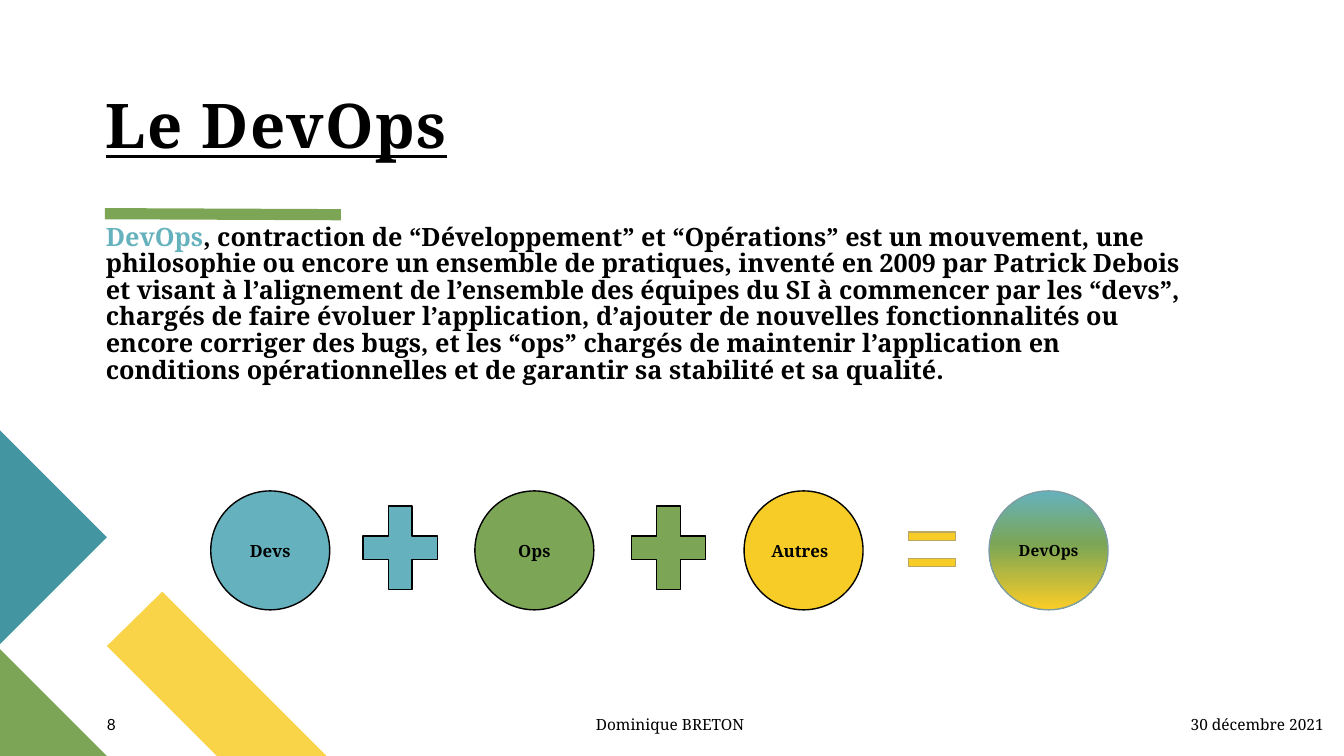
"""Build the slide that defines DevOps as a sum of teams."""
import lxml.etree
import pptx
import pptx.dml.color
import pptx.enum.shapes
import pptx.enum.text
import pptx.oxml
import pptx.oxml.ns
import pptx.util

Inches, Pt = pptx.util.Inches, pptx.util.Pt
RGBColor = pptx.dml.color.RGBColor
SHAPE = pptx.enum.shapes.MSO_SHAPE
ALIGN = pptx.enum.text.PP_ALIGN
ANCHOR = pptx.enum.text.MSO_ANCHOR
qn = pptx.oxml.ns.qn

BLACK = RGBColor(0x00, 0x00, 0x00)
BLUE = RGBColor(0x65, 0xB2, 0xBE)
GREEN = RGBColor(0x7C, 0xA6, 0x55)
YELLOW = RGBColor(0xF8, 0xCC, 0x27)
TEAL = RGBColor(0x44, 0x95, 0xA2)
PALE_YELLOW = RGBColor(0xF9, 0xD4, 0x48)
SAND = RGBColor(0xBA, 0xA7, 0x62)
GREY_BLUE = RGBColor(0x7D, 0x9D, 0xA2)
SERIF, SANS = "Noto Serif", "Lato"

TITLE = "Le DevOps"
DEFINITION = [
    ("DevOps", BLUE),
    (", contraction de “Développement” et “Opérations” est un mouvement, une "
     "philosophie ou encore un ensemble de pratiques, inventé en 2009 par Patrick "
     "Debois et visant à l’alignement de l’ensemble des équipes du SI à commencer "
     "par les “devs”, chargés de faire évoluer l’application, d’ajouter de nouvelles "
     "fonctionnalités ou encore corriger des bugs, et les “ops” chargés de maintenir "
     "l’application en conditions opérationnelles et de garantir sa stabilité et sa "
     "qualité.", BLACK),
]
CORNER_SHAPES = [
    (PALE_YELLOW, [(3.24, 7.5), (2.15, 7.5), (1.06, 6.41), (1.61, 5.87)]),
    (GREEN, [(1.06, 7.5), (0, 7.5), (0, 6.44)]),
    (TEAL, [(0, 4.27), (1.06, 5.33), (0, 6.39)]),
]
TEAMS = [
    ("Devs", 2.09, BLUE, BLACK, 12, ALIGN.CENTER),
    ("Ops", 4.71, GREEN, BLACK, 12, ALIGN.CENTER),
    ("Autres", 7.38, YELLOW, BLACK, 12, ALIGN.LEFT),
    ("DevOps", 9.81, None, GREY_BLUE, 11, ALIGN.CENTER),
]
BLEND = [(0, BLUE), (45, GREEN), (99, YELLOW)]
OPERATORS = [
    (SHAPE.MATH_PLUS, (3.47, 4.87, 1, 1.13), BLUE, BLACK),
    (SHAPE.MATH_PLUS, (6.13, 4.87, 1, 1.13), GREEN, BLACK),
    (SHAPE.MATH_EQUAL, (8.93, 5.28, 0.63, 0.34), YELLOW, SAND),
]
FOOTER = [
    ("8", 1.06, 0.57, SANS),
    ("Dominique BRETON", 5.91, 1.64, SERIF),
    ("30 décembre 2021", 11.81, 1.44, SERIF),
]
CIRCLE_TOP, CIRCLE_SIZE = 4.87, 1.18
FOOTER_TOP, FOOTER_HEIGHT = 7.09, 0.27


def apply(target, values):
    for name, value in values.items():
        setattr(target, name, value)


def write(para, text, size, color=BLACK, font=SERIF, **values):
    span = para.add_run()
    span.text = text
    apply(span.font, {"size": Pt(size), "name": font, **values})
    span.font.color.rgb = color
    return span


def frame_of(box, anchor=ANCHOR.TOP):
    frame = box.text_frame
    apply(frame, {"margin_left": 0, "margin_right": 0, "margin_top": 0,
                  "margin_bottom": 0, "word_wrap": True, "vertical_anchor": anchor,
                  "auto_size": pptx.enum.text.MSO_AUTO_SIZE.NONE})
    return frame


def place(box, *lengths):
    apply(box, dict(zip(("left", "top", "width", "height"), map(Inches, lengths))))


def paint(shape, fill, line=None):
    shape.shadow.inherit = False
    if fill is not None:
        shape.fill.solid()
        shape.fill.fore_color.rgb = fill
    if line is None:
        shape.line.fill.background()
    else:
        shape.line.color.rgb = line
        shape.line.width = Pt(1)


def blend(shape, stops):
    shape.fill.gradient()
    gradient = shape.fill._xPr.find(qn("a:gradFill"))
    stop_list = gradient.find(qn("a:gsLst"))
    for stop in list(stop_list):
        stop_list.remove(stop)
    for percent, color in stops:
        stop = lxml.etree.SubElement(stop_list, qn("a:gs"), pos=str(percent * 1000))
        lxml.etree.SubElement(stop, qn("a:srgbClr"), val=str(color))
    shape.fill.gradient_angle = 270


deck = pptx.Presentation()
apply(deck, {"slide_width": Inches(13.33), "slide_height": Inches(7.5)})
page = deck.slides.add_slide(deck.slide_layouts[1])
shapes = page.shapes

for color, points in CORNER_SHAPES:
    corners = [(Inches(x), Inches(y)) for x, y in points]
    builder = shapes.build_freeform(*corners[0])
    builder.add_line_segments(corners[1:], close=True)
    paint(builder.convert_to_shape(), color)

rule = shapes.add_connector(pptx.enum.shapes.MSO_CONNECTOR.STRAIGHT,
                            *map(Inches, (1.04, 2.12, 3.38, 2.13)))
rule.line.color.rgb = GREEN
rule.line.width = Pt(8)
lxml.etree.SubElement(rule._element.spPr, qn("a:effectLst"))

title = shapes.title
place(title, 1.05, 0.94, 5.4, 0.67)
para = frame_of(title, ANCHOR.BOTTOM).paragraphs[0]
apply(para, {"alignment": ALIGN.LEFT, "line_spacing": 0.9})
span = write(para, TITLE, 44, bold=True, underline=True)
span.font._element.set("spc", "100")

body = page.placeholders[1]
place(body, 1.05, 2.23, 10.85, 4.05)
para = frame_of(body).paragraphs[0]
apply(para, {"space_before": Pt(10), "line_spacing": 0.88})
properties = para._p.get_or_add_pPr()
properties.set("marL", "0")
properties.set("indent", "0")
lxml.etree.SubElement(properties, qn("a:buNone"))
for text, color in DEFINITION:
    write(para, text, 18, color, bold=True)

for text, left, fill, line, size, alignment in TEAMS:
    circle = shapes.add_shape(SHAPE.FLOWCHART_CONNECTOR, *map(
        Inches, (left, CIRCLE_TOP, CIRCLE_SIZE, CIRCLE_SIZE)))
    paint(circle, fill, line)
    if fill is None:
        blend(circle, BLEND)
    circle.text_frame.vertical_anchor = ANCHOR.MIDDLE
    para = circle.text_frame.paragraphs[0]
    para.alignment = alignment
    write(para, text, size, bold=True)

for kind, lengths, fill, line in OPERATORS:
    operator = shapes.add_shape(kind, *map(Inches, lengths))
    paint(operator, fill, line)
    if kind == SHAPE.MATH_EQUAL:
        operator.adjustments[1] = 0.53

for text, left, width, font in FOOTER:
    box = shapes.add_textbox(*map(Inches, (left, FOOTER_TOP, width, FOOTER_HEIGHT)))
    write(frame_of(box).paragraphs[0], text, 11, font=font)

deck.save("out.pptx")
